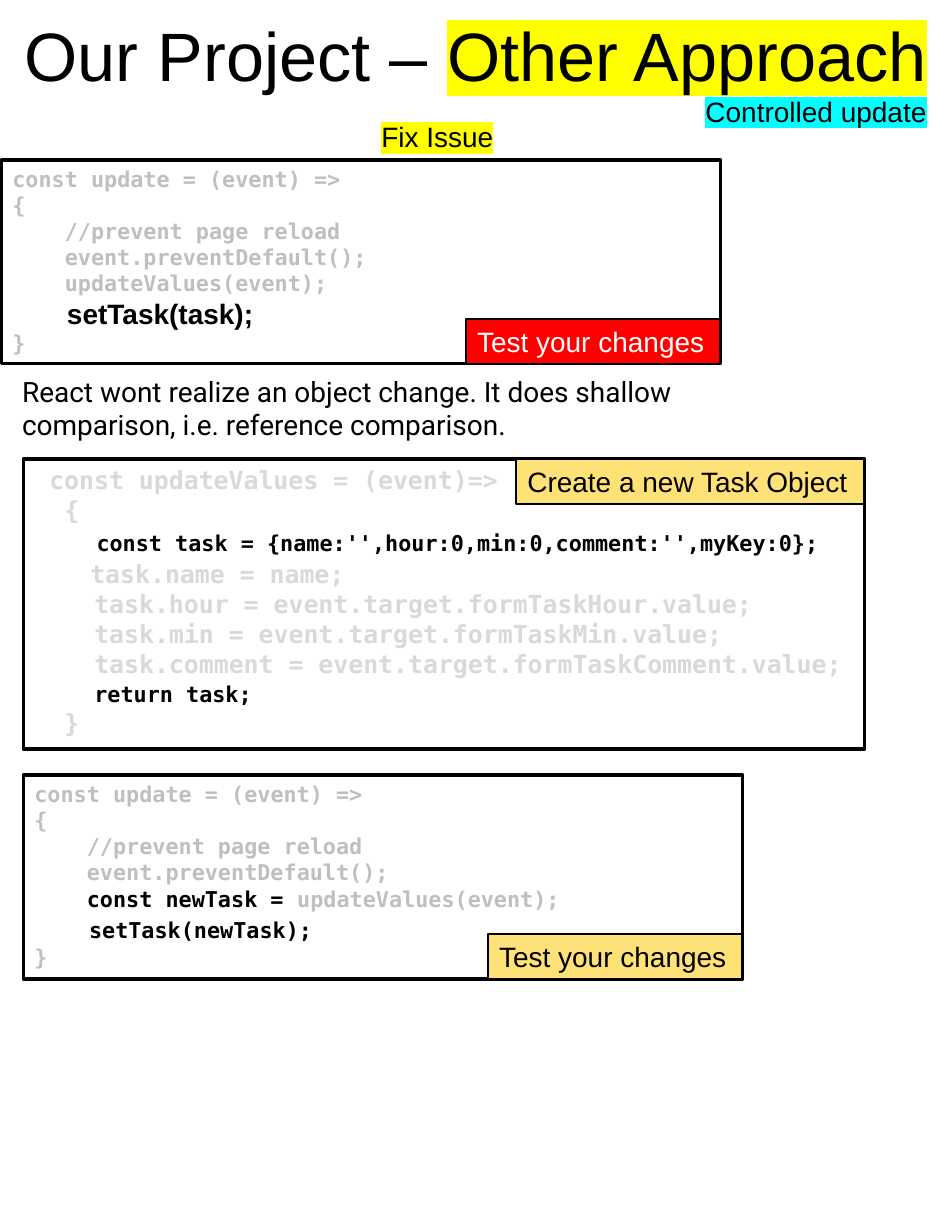
from dataclasses import dataclass

from lxml.etree import SubElement
from pptx import Presentation
from pptx.dml.color import RGBColor
from pptx.enum.shapes import MSO_SHAPE
from pptx.enum.text import MSO_ANCHOR, PP_ALIGN
from pptx.oxml.ns import qn
from pptx.util import Cm, Pt

COLORS = {
    "black": "000000", "white": "FFFFFF", "gray": "BFBFBF", "pale": "D9D9D9",
    "red": "FF0000", "sand": "FFE277", "yellow": "FFFF00", "cyan": "00FFFF",
}
SANS, MONO, BODY = "Arial", "DejaVu Sans Mono", "Roboto"
TAG_HEIGHT = 1.02


@dataclass(frozen=True)
class Span:
    text: str
    size: float = 18
    color: str = "black"
    font: str = SANS
    bold: bool = False
    highlight: str = ""


@dataclass(frozen=True)
class Line:
    spans: tuple[Span, ...]
    indent: float = 0
    before: float = 0
    after: float = 0


@dataclass(frozen=True)
class Box:
    """Position and size in centimetres."""
    left: float
    top: float
    width: float
    height: float


@dataclass(frozen=True)
class Tag:
    text: str
    width: float
    fill: str
    color: str = "black"
    at_top: bool = False


@dataclass(frozen=True)
class Panel:
    box: Box
    lines: tuple[Line, ...]
    tag: Tag


@dataclass(frozen=True)
class Label:
    box: Box
    line: Line
    align: PP_ALIGN = PP_ALIGN.LEFT
    wrap: bool = False


def code(text: str, size: float = 14, color: str = "gray") -> Span:
    return Span(text, size, color, MONO, True)


def code_line(text: str, indent: float = 0, size: float = 14, color: str = "gray",
              before: float = 0, after: float = 0) -> Line:
    return Line((code(text, size, color),), indent, before, after)


def write(frame, lines: tuple[Line, ...], align: PP_ALIGN, wrap: bool) -> None:
    frame.word_wrap = wrap
    frame.vertical_anchor = MSO_ANCHOR.TOP
    for number, line in enumerate(lines):
        paragraph = frame.add_paragraph() if number else frame.paragraphs[0]
        paragraph.alignment = align
        paragraph.space_before = Pt(line.before)
        paragraph.space_after = Pt(line.after)
        properties = paragraph._p.get_or_add_pPr()
        properties.set("marL", str(Cm(line.indent)))
        properties.set("indent", "0")
        for span in line.spans:
            add_span(paragraph, span)


def add_span(paragraph, span: Span) -> None:
    run = paragraph.add_run()
    run.text = span.text
    run.font.size = Pt(span.size)
    run.font.name = span.font
    run.font.bold = span.bold
    run.font.color.rgb = RGBColor.from_string(COLORS[span.color])
    if span.highlight:
        properties = run._r.get_or_add_rPr()
        highlight = SubElement(properties, qn("a:highlight"))
        SubElement(highlight, qn("a:srgbClr")).set("val", COLORS[span.highlight])
        properties.find(qn("a:solidFill")).addnext(highlight)


def place(box: Box) -> tuple[Cm, Cm, Cm, Cm]:
    return Cm(box.left), Cm(box.top), Cm(box.width), Cm(box.height)


def draw_rectangle(slide, box: Box, lines: tuple[Line, ...], border: float,
                   fill: str = "", wrap: bool = True) -> None:
    rectangle = slide.shapes.add_shape(MSO_SHAPE.RECTANGLE, *place(box))
    rectangle.shadow.inherit = False
    if fill:
        rectangle.fill.solid()
        rectangle.fill.fore_color.rgb = RGBColor.from_string(COLORS[fill])
    else:
        rectangle.fill.background()
    rectangle.line.color.rgb = RGBColor.from_string(COLORS["black"])
    rectangle.line.width = Pt(border)
    write(rectangle.text_frame, lines, PP_ALIGN.LEFT, wrap)


def draw_panel(slide, panel: Panel) -> None:
    """Draw a code panel with its tag in a right-hand corner."""
    box, tag = panel.box, panel.tag
    draw_rectangle(slide, box, panel.lines, 2.25)
    top = box.top if tag.at_top else box.top + box.height - TAG_HEIGHT
    corner = Box(box.left + box.width - tag.width, top, tag.width, TAG_HEIGHT)
    caption = Line((Span(tag.text, color=tag.color),))
    draw_rectangle(slide, corner, (caption,), 1.5, tag.fill, wrap=False)


def draw_label(slide, label: Label) -> None:
    frame = slide.shapes.add_textbox(*place(label.box)).text_frame
    write(frame, (label.line,), label.align, label.wrap)


UPDATE_START = (
    code_line("const update = (event) =>"),
    code_line("{"),
    code_line("//prevent page reload", 1.19),
    code_line("event.preventDefault();", 1.19),
)
CLOSING = code_line("}")

PANELS = (
    Panel(
        Box(0.03, 3.63, 16.31, 4.62),
        (*UPDATE_START,
         code_line("updateValues(event);", 1.19),
         Line((Span("setTask(task);", bold=True),), 1.24),
         CLOSING),
        Tag("Test your changes", 5.77, "red", "white"),
    ),
    Panel(
        Box(0.53, 17.58, 16.31, 4.62),
        (*UPDATE_START,
         Line((code("const newTask = ", color="black"), code("updateValues(event);")), 1.19),
         code_line("setTask(newTask);", 1.24, color="black", before=3.3, after=0.5),
         CLOSING),
        Tag("Test your changes", 5.77, "sand"),
    ),
    Panel(
        Box(0.53, 10.41, 19.08, 6.58),
        (code_line("const updateValues = (event)=>", 0.34, 16, "pale"),
         code_line("{", 0.68, 16, "pale"),
         code_line("const task = {name:'',hour:0,min:0,comment:'',myKey:0};",
                   1.41, color="black", before=3.3, after=0.5),
         code_line("task.name = name;", 1.27, 16, "pale", before=1.5),
         code_line("task.hour = event.target.formTaskHour.value;", 1.36, 16, "pale"),
         code_line("task.min = event.target.formTaskMin.value;", 1.36, 16, "pale"),
         code_line("task.comment = event.target.formTaskComment.value;", 1.36, 16, "pale"),
         code_line("return task;", 1.36, color="black", before=1.8, after=0.5),
         code_line("}", 0.68, 16, "pale")),
        Tag("Create a new Task Object", 7.9, "sand", at_top=True),
    ),
)

LABELS = (
    Label(Box(-0.05, 0.18, 21.69, 2.13),
          Line((Span("Our Project – ", 44),
                Span("Other Approach", 44, highlight="yellow"))),
          PP_ALIGN.CENTER),
    Label(Box(0.25, 8.36, 15.82, 1.8),
          Line((Span("React wont realize an object change. It does shallow "
                     "comparison, i.e. reference comparison.", font=BODY),)),
          wrap=True),
    Label(Box(8.18, 2.59, 3.48, 1.02),
          Line((Span("Fix Issue", highlight="yellow"),)), PP_ALIGN.CENTER, True),
    Label(Box(15.75, 2.01, 5.89, 1.02),
          Line((Span("Controlled update", highlight="cyan"),))),
)


def main() -> None:
    presentation = Presentation()
    presentation.slide_width, presentation.slide_height = Cm(21.59), Cm(27.94)
    slide = presentation.slides.add_slide(presentation.slide_layouts[6])
    for panel in PANELS:
        draw_panel(slide, panel)
    for label in LABELS:
        draw_label(slide, label)
    presentation.save("out.pptx")


if __name__ == "__main__":
    main()
